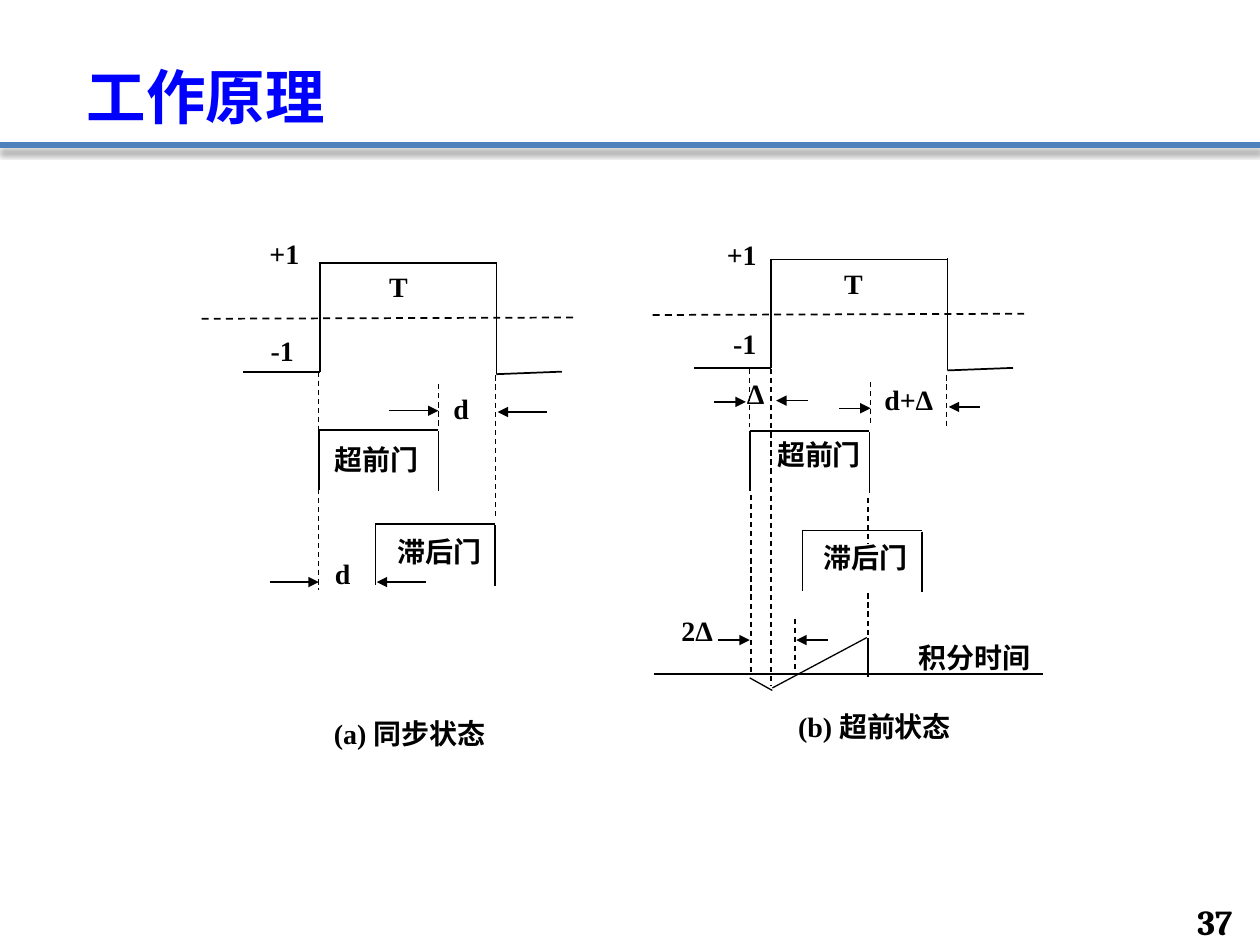
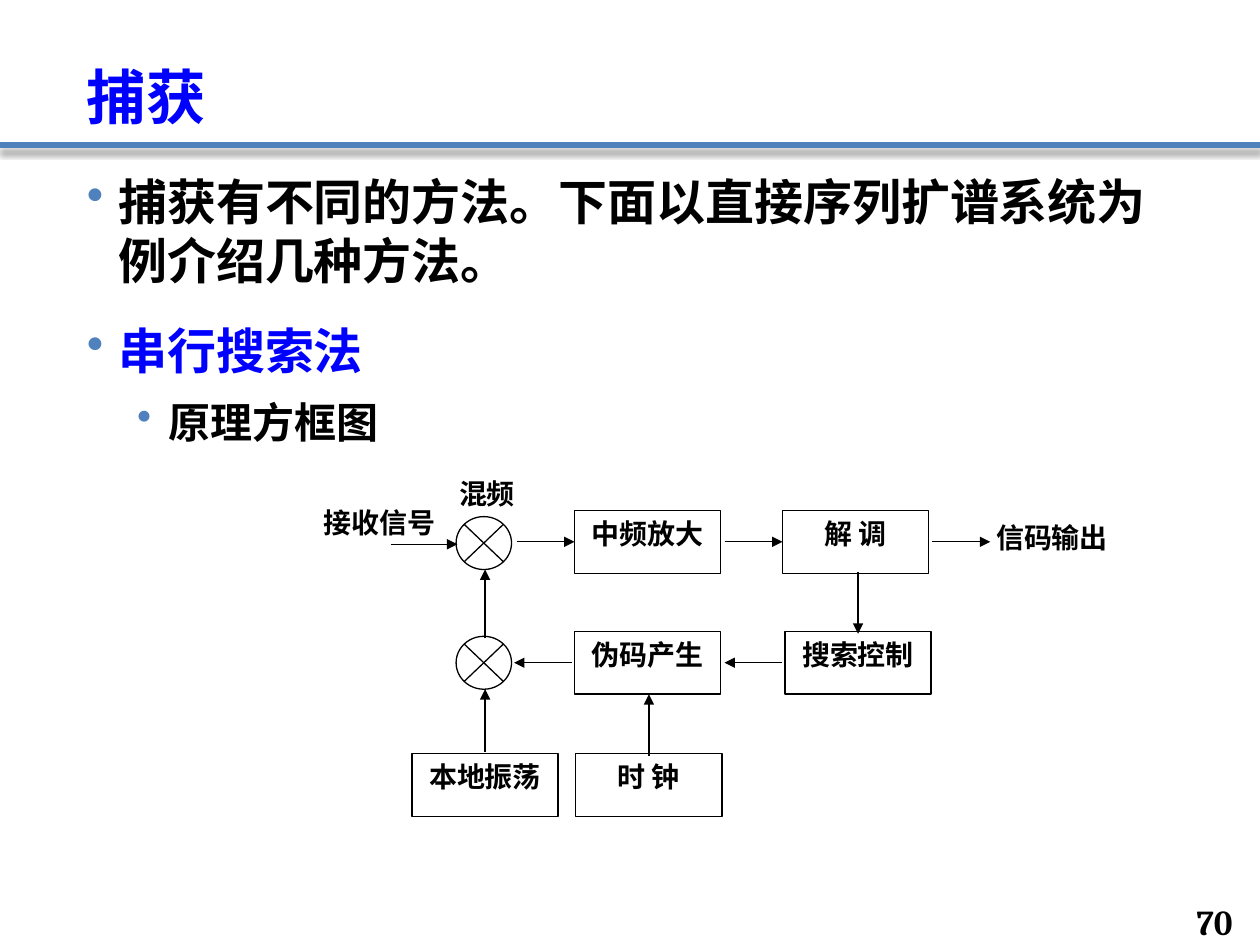
from lxml.etree import SubElement
from pptx import Presentation
from pptx.dml.color import RGBColor
from pptx.enum.dml import MSO_LINE
from pptx.enum.shapes import MSO_CONNECTOR, MSO_SHAPE
from pptx.enum.text import MSO_ANCHOR, PP_ALIGN
from pptx.oxml.ns import qn
from pptx.util import Inches, Pt

BLACK = RGBColor(0, 0, 0)
WHITE = RGBColor(255, 255, 255)
BLUE = RGBColor(0, 0, 255)
STEEL = RGBColor(0x4F, 0x81, 0xBD)
HEAD = "Cambria"
BODY = "Times New Roman"
BOX_W, BOX_H = 1.16, 0.5


def write(para, text, size=16, font=BODY, color=BLACK, align=None, **gaps):
    """Put bold text in a paragraph; gaps are paragraph spacing settings."""
    run = para.add_run()
    run.text = text
    run.font.size = Pt(size)
    run.font.name = font
    run.font.bold = True
    run.font.color.rgb = color
    para.alignment = align
    for name, value in gaps.items():
        setattr(para, name, value)


def frame(shape, anchor=MSO_ANCHOR.TOP, inset=None):
    """Set up the text frame of a shape and return it."""
    area = shape.text_frame
    area.word_wrap = True
    area.vertical_anchor = anchor
    if inset is not None:
        area.margin_left = area.margin_right = Inches(inset)
        area.margin_top = area.margin_bottom = Inches(inset)
    return area


def label(slide, text, x, y, w=0.55, h=0.43, anchor=MSO_ANCHOR.TOP, inset=None, **style):
    """Add a text box with one line of text."""
    box = slide.shapes.add_textbox(Inches(x), Inches(y), Inches(w), Inches(h))
    write(frame(box, anchor, inset).paragraphs[0], text, **style)


def line(slide, x1, y1, x2, y2, width=0.75, color=BLACK, dash=False, arrow=False):
    """Add a straight line, with an optional arrowhead at its end."""
    link = slide.shapes.add_connector(
        MSO_CONNECTOR.STRAIGHT, Inches(x1), Inches(y1), Inches(x2), Inches(y2))
    link.line.width = Pt(width)
    link.line.color.rgb = color
    if dash:
        link.line.dash_style = MSO_LINE.DASH
    if arrow:
        SubElement(link.line._get_or_add_ln(), qn("a:tailEnd"), type="triangle")
    SubElement(link._element.spPr, qn("a:effectLst"))
    return link


def shape(slide, kind, x, y, w, h):
    """Add a white shape with a thin black outline."""
    item = slide.shapes.add_shape(kind, Inches(x), Inches(y), Inches(w), Inches(h))
    item.shadow.inherit = False
    item.fill.solid()
    item.fill.fore_color.rgb = WHITE
    item.line.color.rgb = BLACK
    item.line.width = Pt(0.75)
    return item


def block(slide, text, x, y):
    """Add a box of the block diagram."""
    box = shape(slide, MSO_SHAPE.RECTANGLE, x, y, BOX_W, BOX_H)
    write(frame(box).paragraphs[0], text, align=PP_ALIGN.CENTER)


def page(deck, title, number):
    """Add a slide with its title, ruled band and page number."""
    slide = deck.slides.add_slide(deck.slide_layouts[6])
    rule = line(slide, 0, 1.15, 10, 1.15, width=3, color=STEEL)
    glow = SubElement(rule._element.spPr.find(qn("a:effectLst")), qn("a:outerShdw"),
                      blurRad=str(Pt(4)), dist=str(Pt(3)), dir="5400000", rotWithShape="0")
    tint = SubElement(glow, qn("a:srgbClr"), val=str(BLACK))
    SubElement(tint, qn("a:alpha"), val="43000")
    label(slide, title, 0.59, 0.21, 8.82, 0.89, anchor=MSO_ANCHOR.BOTTOM,
          size=34, font=HEAD, color=BLUE, line_spacing=0.9)
    label(slide, str(number), 9.19, 7.17, 0.69, 0.28, anchor=MSO_ANCHOR.MIDDLE,
          size=20, font=HEAD, align=PP_ALIGN.RIGHT)
    return slide


def pulse(slide, x, y):
    """Draw the signal pulse whose rising edge tops out at x, y."""
    low, fall = y + 0.86, x + 1.4
    line(slide, x - 0.94, y + 0.44, x + 2.03, y + 0.43, width=1, dash=True)
    for ends in ((x - 0.61, low, x, low), (x, low, x, y), (x - 0.01, y, fall, y),
                 (fall, y - 0.01, fall, low + 0.02), (fall, low + 0.02, x + 1.92, low)):
        line(slide, *ends, width=1)


def gate(slide, text, x, y, dx, dy):
    """Draw a gate open at the bottom, its name shifted by dx, dy."""
    right = x + 0.95
    line(slide, x, y, right, y, width=1)
    line(slide, x, y, x, y + 0.48, width=1)
    line(slide, right, y + 0.01, right, y + 0.49, width=1)
    label(slide, text, x + dx, y + dy, 0.92, align=PP_ALIGN.CENTER)


def span(slide, left, right, y, size, lift=0):
    """Point two arrows inwards at left and right; lift offsets the second."""
    line(slide, left - size, y, left, y, arrow=True)
    line(slide, right + size, y + lift, right, y + lift, arrow=True)


def sync(slide):
    """Draw the timing of the synchronous state."""
    pulse(slide, 2.54, 2.09)
    gate(slide, "超前门", 2.53, 3.41, 0, 0.05)
    gate(slide, "滞后门", 2.98, 4.16, 0.05, 0.03)
    for x, top, end in ((3.93, 2.98, 4.11), (2.53, 2.95, 4.68), (3.48, 3.05, 3.39)):
        line(slide, x, top, x, end, dash=True)
    span(slide, 3.48, 3.95, 3.26, 0.39, 0.01)
    span(slide, 2.53, 2.99, 4.62, 0.39)
    for text, x, y in (("T", 2.99, 2.09), ("d", 3.5, 3.06), ("d", 2.56, 4.37),
                       ("+1", 2.04, 1.83), ("-1", 2.05, 2.6)):
        label(slide, text, x, y)
    label(slide, "(a) 同步状态", 2.08, 5.64, 2.34, 0.47, align=PP_ALIGN.CENTER)


def early(slide):
    """Draw the timing of the early state and its integral."""
    pulse(slide, 6.12, 2.06)
    gate(slide, "超前门", 5.95, 3.42, 0.09, 0)
    gate(slide, "滞后门", 6.37, 4.21, 0.04, 0.03)
    for x, top, end in ((5.95, 2.93, 3.39), (7.51, 2.98, 3.39), (6.12, 2.93, 5.44),
                        (6.91, 3.03, 3.37), (5.96, 3.93, 5.35), (6.31, 4.91, 5.34),
                        (6.89, 4.71, 5.37), (6.89, 3.95, 4.31)):
        line(slide, x, top, x, end, dash=True)
    for ends in ((5.95, 5.38, 6.13, 5.48), (6.13, 5.46, 6.88, 5.06),
                 (6.89, 5.06, 6.89, 5.34), (5.19, 5.35, 8.28, 5.35)):
        line(slide, *ends)
    span(slide, 5.92, 6.16, 3.19, 0.25, -0.01)
    span(slide, 6.91, 7.53, 3.24, 0.25, -0.01)
    span(slide, 5.95, 6.32, 5.08, 0.25)
    for text, x, y in (("T", 6.6, 2.07), ("Δ", 5.83, 2.94), ("+1", 5.67, 1.84),
                       ("-1", 5.72, 2.54), ("2Δ", 5.31, 4.82)):
        label(slide, text, x, y)
    label(slide, "d+Δ", 6.92, 2.99, 0.65)
    label(slide, "积分时间", 7.29, 4.95, 1.06, 0.53, anchor=MSO_ANCHOR.MIDDLE, inset=0)
    label(slide, "(b) 超前状态", 5.77, 5.58, 2.34, 0.47, align=PP_ALIGN.CENTER)


def points(slide, rows):
    """Add the bulleted text; a row holds text, level, size, colour and gap."""
    box = slide.shapes.add_textbox(Inches(0.59), Inches(1.31), Inches(8.82), Inches(2.4))
    area = frame(box)
    for i, (text, level, size, color, gap) in enumerate(rows):
        para = area.add_paragraph() if i else area.paragraphs[0]
        para.level = level
        props = para._p.get_or_add_pPr()
        props.set("marL", str(Inches(0.25 + 0.4 * level)))
        props.set("indent", str(Inches(-0.25)))
        SubElement(SubElement(props, qn("a:buClr")), qn("a:srgbClr"), val=str(STEEL))
        SubElement(props, qn("a:buChar"), char="•")
        write(para, text, size=size, font=HEAD, color=color, space_before=Pt(gap))


def search(slide):
    """Draw the block diagram of the serial search."""
    for text, x, y in (("中频放大", 4.56, 4.05), ("解 调", 6.21, 4.05),
                       ("伪码产生", 4.56, 5.01), ("搜索控制", 6.23, 5.01),
                       ("本地振荡", 3.27, 5.98), ("时 钟", 4.57, 5.98)):
        block(slide, text, x, y)
    for y in (4.1, 5.05):
        shape(slide, MSO_SHAPE.FLOWCHART_SUMMING_JUNCTION, 3.62, y, 0.44, 0.42)
    for ends in ((3.1, 4.32, 3.63, 4.32), (4.1, 4.3, 4.56, 4.3), (5.75, 4.3, 6.21, 4.3),
                 (7.4, 4.3, 7.86, 4.3), (6.81, 4.54, 6.81, 5.03), (6.21, 5.26, 5.75, 5.26),
                 (4.54, 5.26, 4.08, 5.26), (3.85, 5.06, 3.85, 4.52),
                 (3.85, 5.97, 3.85, 5.47), (5.15, 6, 5.15, 5.51)):
        line(slide, *ends, arrow=True)
    for text, x, y, w in (("接收信号", 2.43, 4.01, BOX_W), ("信码输出", 7.77, 4.13, BOX_W),
                          ("混频", 3.53, 3.78, 0.67)):
        label(slide, text, x, y, w, 0.37, inset=0, align=PP_ALIGN.CENTER)


def main():
    """Build and save the two slides."""
    deck = Presentation()
    deck.slide_width, deck.slide_height = Inches(10), Inches(7.5)
    first = page(deck, "工作原理", 37)
    sync(first)
    early(first)
    second = page(deck, "捕获", 70)
    points(second, (
        ("捕获有不同的方法。下面以直接序列扩谱系统为例介绍几种方法。", 0, 28, BLACK, 0),
        ("串行搜索法", 0, 28, BLUE, 18),
        ("原理方框图", 1, 24, BLACK, 10)))
    search(second)
    deck.save("out.pptx")


if __name__ == "__main__":
    main()
